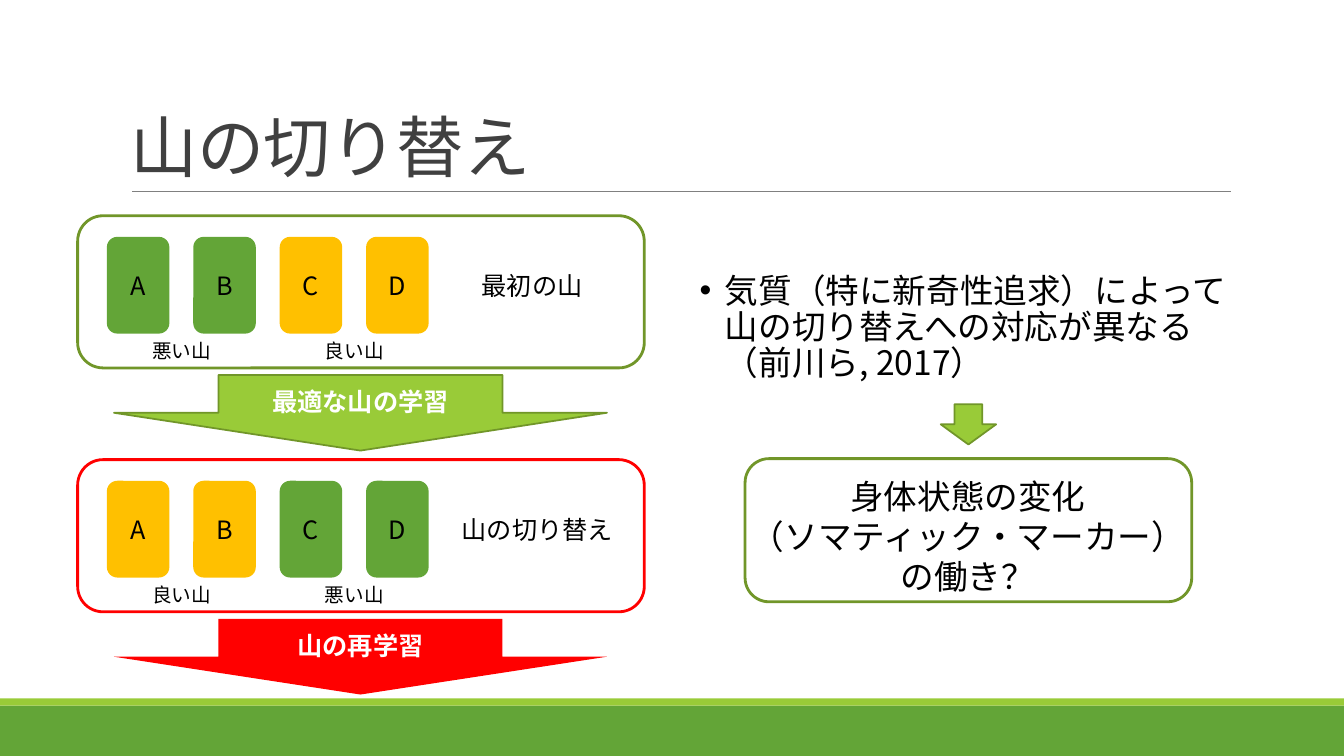
from dataclasses import dataclass

from lxml.etree import SubElement
from pptx import Presentation
from pptx.dml.color import RGBColor
from pptx.enum.shapes import MSO_CONNECTOR, MSO_SHAPE
from pptx.enum.text import MSO_ANCHOR, MSO_AUTO_SIZE, PP_ALIGN
from pptx.oxml.ns import qn
from pptx.shapes.autoshape import Shape
from pptx.shapes.shapetree import GroupShapes, SlideShapes
from pptx.util import Inches, Pt

FONT = "Noto Sans CJK JP"
GREEN = RGBColor(0x63, 0xA5, 0x37)
LIME = RGBColor(0x99, 0xCB, 0x38)
OLIVE = RGBColor(0x71, 0x96, 0x29)
AMBER = RGBColor(0xFF, 0xC0, 0x00)
RED = RGBColor(0xFF, 0x00, 0x00)
GRAY = RGBColor(0x80, 0x80, 0x80)
DARK = RGBColor(0x40, 0x40, 0x40)
BLACK = RGBColor(0, 0, 0)
WHITE = RGBColor(0xFF, 0xFF, 0xFF)

Box = tuple[float, float, float, float]
Shapes = SlideShapes | GroupShapes


@dataclass
class Outline:
    color: RGBColor
    width: float


@dataclass
class DeckPanel:
    top: float
    caption: str
    caption_left: float
    caption_width: float
    pair_labels: tuple[str, str]
    pair_colors: tuple[RGBColor, RGBColor]
    border: RGBColor
    arrow_text: str
    arrow_fill: RGBColor
    arrow_outline: Outline | None


PANELS = [
    DeckPanel(2.14, "最初の山", 4.68, 1.21, ("悪い山", "良い山"), (GREEN, AMBER),
              OLIVE, "最適な山の学習", LIME, Outline(OLIVE, 1.25)),
    DeckPanel(4.56, "山の切り替え", 4.48, 1.72, ("良い山", "悪い山"), (AMBER, GREEN),
              RED, "山の再学習", RED, None),
]
CARD_LEFT, CARD_STEP = 1.06, 0.857


def write_text(shape: Shape, text: str, size: float, color: RGBColor = BLACK,
               bold: bool = False, align: PP_ALIGN = PP_ALIGN.LEFT,
               anchor: MSO_ANCHOR = MSO_ANCHOR.TOP, wrap: bool = True) -> None:
    frame = shape.text_frame
    frame.text = text
    frame.word_wrap = wrap
    frame.vertical_anchor = anchor
    for paragraph in frame.paragraphs:
        paragraph.alignment = align
        for run in paragraph.runs:
            run.font.name = FONT
            run.font.size = Pt(size)
            run.font.bold = bold
            run.font.color.rgb = color
            SubElement(run.font._element, qn("a:ea"), typeface=FONT)


def add_block(shapes: Shapes, kind: MSO_SHAPE, box: Box, fill: RGBColor | None = None,
              outline: Outline | None = None) -> Shape:
    shape = shapes.add_shape(kind, *map(Inches, box))
    shape.shadow.inherit = False
    if fill is None:
        shape.fill.background()
    else:
        shape.fill.solid()
        shape.fill.fore_color.rgb = fill
    if outline is None:
        shape.line.fill.background()
    else:
        shape.line.color.rgb = outline.color
        shape.line.width = Pt(outline.width)
    return shape


def add_label(shapes: Shapes, box: Box, text: str, size: float) -> None:
    label = shapes.add_textbox(*map(Inches, box))
    write_text(label, text, size, wrap=False)
    label.text_frame.auto_size = MSO_AUTO_SIZE.SHAPE_TO_FIT_TEXT


def add_panel(shapes: SlideShapes, panel: DeckPanel) -> None:
    """Draw one deck panel and the learning arrow below it."""
    arrow = add_block(shapes, MSO_SHAPE.DOWN_ARROW, (1.13, panel.top + 1.58, 4.89, 0.75),
                      panel.arrow_fill, panel.arrow_outline)
    arrow.adjustments[0] = 0.576
    write_text(arrow, panel.arrow_text, 18, WHITE, True, PP_ALIGN.CENTER, MSO_ANCHOR.MIDDLE)

    members = shapes.add_group_shape().shapes
    add_label(members, (panel.caption_left, panel.top + 0.49, panel.caption_width, 0.4),
              panel.caption, 18)
    for index, letter in enumerate("ABCD"):
        box = (CARD_LEFT + index * CARD_STEP, panel.top + 0.21, 0.62, 0.96)
        card = add_block(members, MSO_SHAPE.ROUNDED_RECTANGLE, box,
                         panel.pair_colors[index // 2])
        write_text(card, letter, 18, align=PP_ALIGN.CENTER, anchor=MSO_ANCHOR.MIDDLE)
    for index, text in enumerate(panel.pair_labels):
        left = 1.41 + index * 2 * CARD_STEP
        add_label(members, (left, panel.top + 1.17, 0.79, 0.34), text, 14)
    add_block(members, MSO_SHAPE.ROUNDED_RECTANGLE, (0.77, panel.top, 5.62, 1.51),
              outline=Outline(panel.border, 2))


def add_heading(shapes: SlideShapes) -> None:
    rule = shapes.add_connector(MSO_CONNECTOR.STRAIGHT, Inches(1.31), Inches(1.9),
                                Inches(12.21), Inches(1.9))
    rule.line.color.rgb = GRAY
    rule.line.width = Pt(0.5)
    SubElement(rule._element.spPr, qn("a:effectLst"))
    title = shapes.add_textbox(Inches(1.2), Inches(0.31), Inches(11), Inches(1.59))
    write_text(title, "山の切り替え", 48, DARK, anchor=MSO_ANCHOR.BOTTOM)
    paragraph = title.text_frame.paragraphs[0]
    paragraph.line_spacing = 0.85
    paragraph.runs[0].font._element.set("spc", "-50")


def add_finding(shapes: SlideShapes) -> None:
    """Draw the bulleted finding and the conclusion it points to."""
    finding = shapes.add_textbox(Inches(6.84), Inches(2.67), Inches(5.52), Inches(1.34))
    write_text(finding, "気質（特に新奇性追求）によって山の切り替えへの対応が異なる\v（前川ら, 2017）", 24)
    paragraph = finding.text_frame.paragraphs[0]
    paragraph.line_spacing = 0.9
    paragraph.space_before = Pt(10)
    properties = paragraph._p.get_or_add_pPr()
    properties.set("marL", str(Inches(0.25)))
    properties.set("indent", str(Inches(-0.25)))
    SubElement(properties, qn("a:buFont"), typeface="Arial")
    SubElement(properties, qn("a:buChar"), char="•")

    add_block(shapes, MSO_SHAPE.DOWN_ARROW, (9.33, 4.01, 0.55, 0.4), LIME, Outline(OLIVE, 1.25))
    conclusion = shapes.add_textbox(Inches(7.31), Inches(4.67), Inches(4.58), Inches(1.31))
    write_text(conclusion, "身体状態の変化\n（ソマティック・マーカー）\nの働き？", 24,
               align=PP_ALIGN.CENTER, wrap=False)
    conclusion.text_frame.auto_size = MSO_AUTO_SIZE.SHAPE_TO_FIT_TEXT
    add_block(shapes, MSO_SHAPE.ROUNDED_RECTANGLE, (7.39, 4.55, 4.43, 1.42),
              outline=Outline(OLIVE, 2))


def main() -> None:
    presentation = Presentation()
    presentation.slide_width = Inches(13.33)
    presentation.slide_height = Inches(7.5)
    slide = presentation.slides.add_slide(presentation.slide_layouts[6])
    shapes = slide.shapes
    add_block(shapes, MSO_SHAPE.RECTANGLE, (0, 7, 13.33, 0.5), GREEN)
    add_block(shapes, MSO_SHAPE.RECTANGLE, (0, 6.93, 13.33, 0.07), LIME)
    add_heading(shapes)
    for panel in PANELS:
        add_panel(shapes, panel)
    add_finding(shapes)
    presentation.save("out.pptx")


if __name__ == "__main__":
    main()
